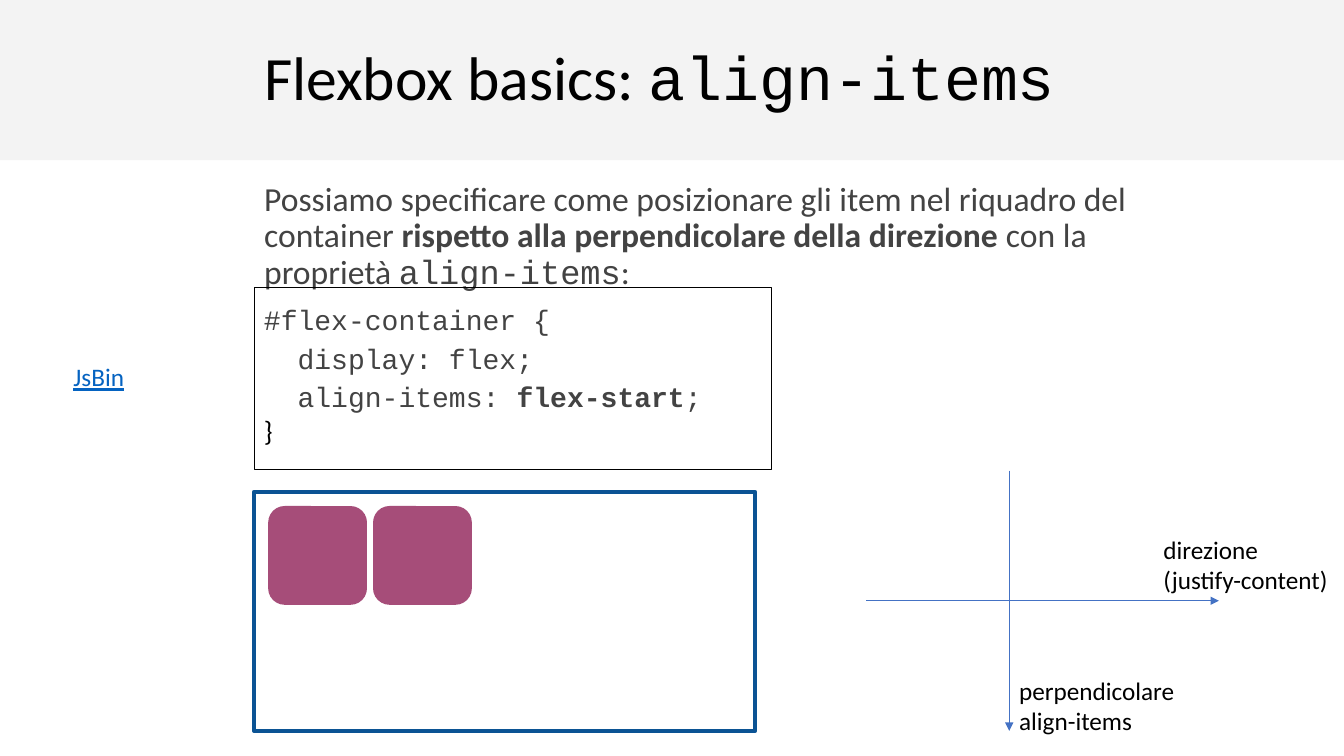
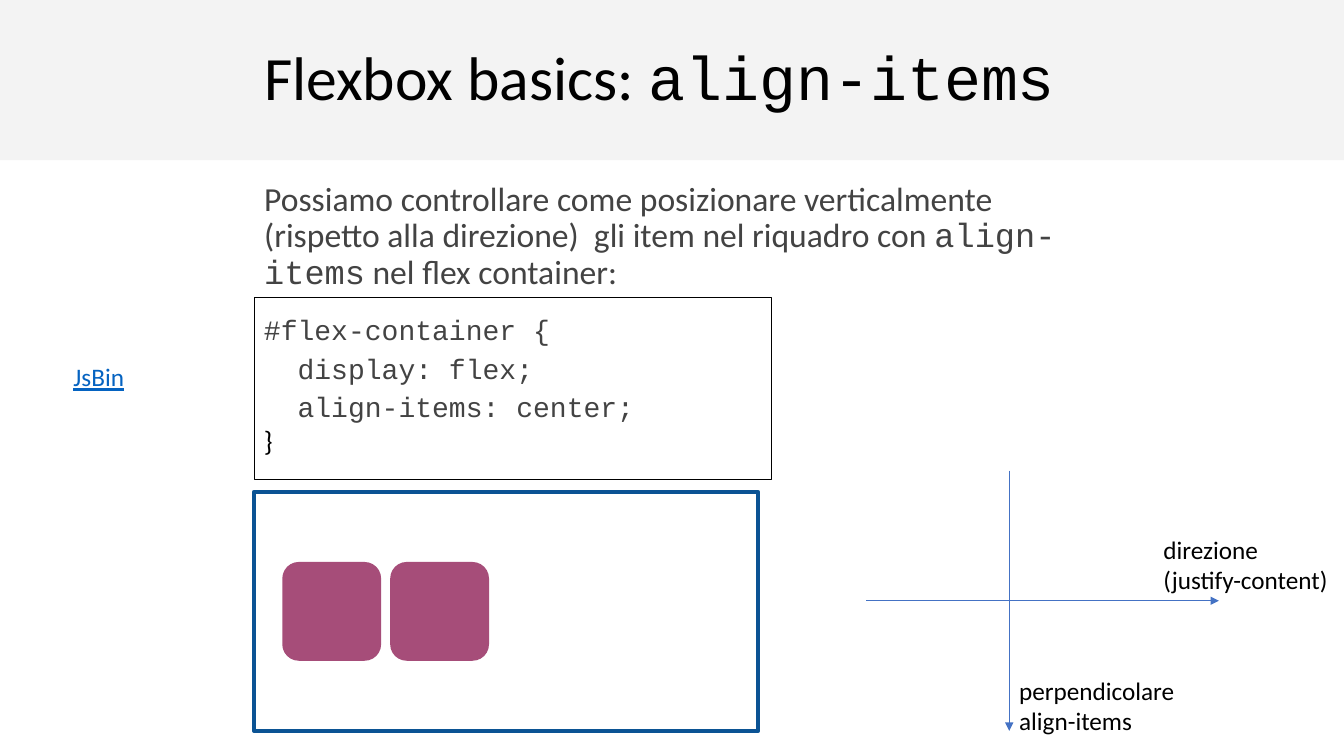
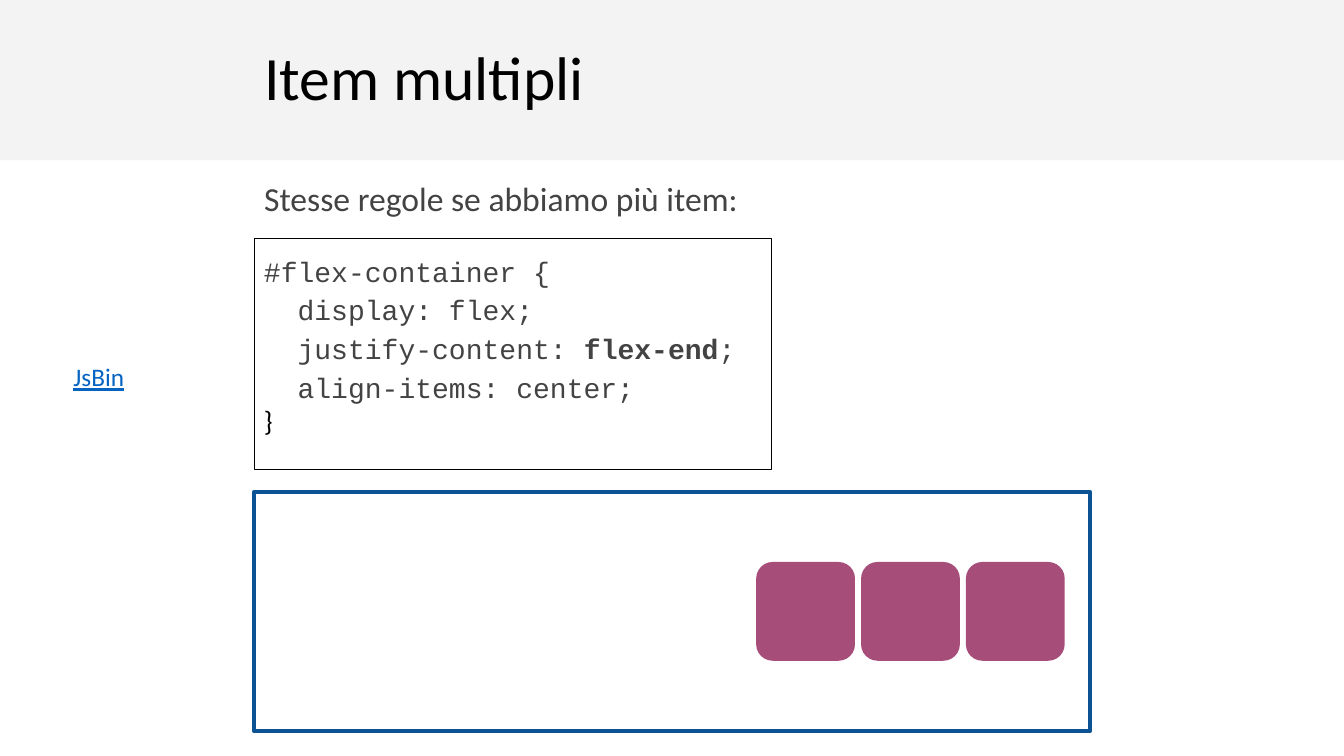
"""Build three slides on aligning flexbox items."""
from dataclasses import dataclass

from lxml.etree import SubElement
from pptx import Presentation
from pptx.dml.color import RGBColor
from pptx.enum.shapes import MSO_CONNECTOR, MSO_SHAPE
from pptx.enum.text import MSO_ANCHOR, MSO_AUTO_SIZE, PP_ALIGN
from pptx.oxml.ns import qn
from pptx.util import Inches, Pt


@dataclass(frozen=True)
class Theme:
    band: str = "F3F3F3"
    ink: str = "000000"
    body: str = "434343"
    paper: str = "FFFFFF"
    frame: str = "0B5394"
    item: str = "A64D79"
    axis: str = "4472C4"
    link: str = "0563C1"
    font: str = "Calibri"
    mono: str = "Courier New"
    title_size: int = 44
    body_size: int = 24
    code_size: int = 20
    label_size: int = 18


THEME = Theme()
WIDTH, HEIGHT = 13.33, 7.5
LEFT, CONTENT_WIDTH = 2.52, 8.29
BAND_HEIGHT = 1.59
FRAME_TOP, FRAME_HEIGHT = 4.88, 2.37
CODE_WIDTH, CODE_ROW, CODE_TRIM = 5.13, 0.48, 0.11
ITEM, ITEM_INSET = 0.98, 0.14
AXES = [((8.59, 5.96), (12.09, 5.96)), ((10.01, 4.67), (10.01, 7.25))]
AXIS_LABELS = [
    ((11.44, 5.25, 1.85, 0.71), ["direzione", "(justify-content)"]),
    ((10.01, 6.65, 1.76, 0.71), ["perpendicolare", "align-items"]),
]
LINK_BOX = (0.63, 3.54, 0.72, 0.4)
ALIGN_TITLE = ["Flexbox basics: ", ("align-items", "mono")]

SLIDES = [
    {
        "title": ALIGN_TITLE,
        "body": [
            "Possiamo specificare come posizionare gli item nel riquadro del container ",
            ("rispetto alla perpendicolare della direzione ", "bold"),
            "con la proprietà ", ("align-items", "mono"), ":",
        ],
        "body_width": 9.67,
        "code": ["  display: flex;", ["  align-items: ", ("flex-start", "bold"), ";"]],
        "code_top": 2.85,
        "frame_width": 4.97,
        "items": {"count": 2, "left": 2.66, "step": 1.04, "align": "start"},
        "axes": True,
    },
    {
        "title": ALIGN_TITLE,
        "body": [
            "Possiamo controllare come posizionare verticalmente "
            "(rispetto alla direzione)  gli item nel riquadro con ",
            ("align-items", "mono"), " nel flex container:",
        ],
        "body_width": CONTENT_WIDTH,
        "code": ["  display: flex;", "  align-items: center;"],
        "code_top": 2.95,
        "frame_width": 5,
        "items": {"count": 2, "left": 2.8, "step": 1.07, "align": "center"},
        "axes": True,
    },
    {
        "title": "Item multipli",
        "body": "Stesse regole se abbiamo più item:",
        "body_width": CONTENT_WIDTH,
        "code": ["  display: flex;",
                 ["  justify-content: ", ("flex-end", "bold"), ";"],
                 "  align-items: center;"],
        "code_top": 2.37,
        "frame_width": CONTENT_WIDTH,
        "items": {"count": 3, "left": 7.5, "step": 1.04, "align": "center"},
        "axes": False,
    },
]


def color(value):
    return RGBColor.from_string(value)


def write_text(paragraph, text, size, ink=THEME.ink, font=THEME.font, spacing=1.0, underline=False):
    """Write a string, or a list of strings and (string, style) pairs, into a paragraph."""
    paragraph.alignment = PP_ALIGN.LEFT
    paragraph.line_spacing = spacing
    paragraph.space_before = paragraph.space_after = Pt(0)
    for part in [text] if isinstance(text, str) else text:
        words, style = (part, "") if isinstance(part, str) else part
        run = paragraph.add_run()
        run.text = words
        run.font.size = Pt(size)
        run.font.name = THEME.mono if style == "mono" else font
        run.font.bold = style == "bold"
        run.font.underline = underline
        run.font.color.rgb = color(ink)


def set_frame(shape, anchor=MSO_ANCHOR.TOP):
    frame = shape.text_frame
    frame.word_wrap = True
    frame.auto_size = MSO_AUTO_SIZE.NONE
    frame.vertical_anchor = anchor
    frame.margin_left = frame.margin_right = Inches(0.1)
    frame.margin_top = frame.margin_bottom = Inches(0.1)
    return frame


def place(shape, left, top, width, height):
    shape.left, shape.top = Inches(left), Inches(top)
    shape.width, shape.height = Inches(width), Inches(height)


def add_box(slide, box, fill=None, line=None, line_width=0.75, kind=MSO_SHAPE.RECTANGLE):
    shape = slide.shapes.add_shape(kind, *map(Inches, box))
    shape.shadow.inherit = False
    if fill:
        shape.fill.solid()
        shape.fill.fore_color.rgb = color(fill)
    else:
        shape.fill.background()
    if line:
        shape.line.color.rgb = color(line)
        shape.line.width = Pt(line_width)
    else:
        shape.line.fill.background()
    return shape


def add_label(slide, box, lines, **text_format):
    label = slide.shapes.add_textbox(*map(Inches, box))
    frame = label.text_frame
    frame.word_wrap = False
    frame.auto_size = MSO_AUTO_SIZE.SHAPE_TO_FIT_TEXT
    for index, line in enumerate(lines):
        paragraph = frame.add_paragraph() if index else frame.paragraphs[0]
        write_text(paragraph, line, THEME.label_size, **text_format)


def add_arrow(slide, start, end):
    arrow = slide.shapes.add_connector(MSO_CONNECTOR.STRAIGHT, *map(Inches, start + end))
    arrow.line.color.rgb = color(THEME.axis)
    arrow.line.width = Pt(0.5)
    SubElement(arrow.line._get_or_add_ln(), qn("a:tailEnd"), type="triangle")
    SubElement(arrow._element.spPr, qn("a:effectLst"))


def add_headings(slide, content):
    title, body = slide.shapes.title, slide.placeholders[1]
    place(title, LEFT, 0.38, CONTENT_WIDTH, 0.83)
    place(body, LEFT, 1.71, content["body_width"], 0.98)
    write_text(set_frame(title, MSO_ANCHOR.MIDDLE).paragraphs[0], content["title"],
               THEME.title_size, spacing=0.9)
    paragraph = set_frame(body).paragraphs[0]
    properties = paragraph._p.get_or_add_pPr()
    properties.set("marL", "0")
    properties.set("indent", "0")
    SubElement(properties, qn("a:buNone"))
    write_text(paragraph, content["body"], THEME.body_size, ink=THEME.body, spacing=0.9)


def add_code(slide, content):
    lines = ["#flex-container {", *content["code"]]
    height = CODE_ROW * (len(lines) + 1) - CODE_TRIM
    shape = add_box(slide, (LEFT, content["code_top"], CODE_WIDTH, height), line=THEME.ink)
    frame = set_frame(shape)
    for index, line in enumerate(lines):
        paragraph = frame.add_paragraph() if index else frame.paragraphs[0]
        write_text(paragraph, line, THEME.code_size, ink=THEME.body, font=THEME.mono, spacing=1.15)
    write_text(frame.add_paragraph(), "}", THEME.code_size)


def add_container(slide, content):
    add_box(slide, (LEFT, FRAME_TOP, content["frame_width"], FRAME_HEIGHT),
            fill=THEME.paper, line=THEME.frame, line_width=3)
    items = content["items"]
    offset = ITEM_INSET if items["align"] == "start" else (FRAME_HEIGHT - ITEM) / 2
    for index in range(items["count"]):
        left = items["left"] + index * items["step"]
        add_box(slide, (left, FRAME_TOP + offset, ITEM, ITEM), fill=THEME.item,
                kind=MSO_SHAPE.ROUNDED_RECTANGLE)


def add_axes(slide):
    for start, end in AXES:
        add_arrow(slide, start, end)
    for box, lines in AXIS_LABELS:
        add_label(slide, box, lines)


def add_master_band(presentation, slide):
    band = add_box(slide, (0, 0, WIDTH, BAND_HEIGHT), fill=THEME.band)
    presentation.slide_master.shapes._spTree.insert(2, band._element)


def main():
    presentation = Presentation()
    presentation.slide_width, presentation.slide_height = Inches(WIDTH), Inches(HEIGHT)
    for index, content in enumerate(SLIDES):
        slide = presentation.slides.add_slide(presentation.slide_layouts[1])
        if index == 0:
            add_master_band(presentation, slide)
        add_headings(slide, content)
        add_container(slide, content)
        add_code(slide, content)
        add_label(slide, LINK_BOX, ["JsBin"], ink=THEME.link, underline=True)
        if content["axes"]:
            add_axes(slide)
    presentation.save("out.pptx")


if __name__ == "__main__":
    main()
